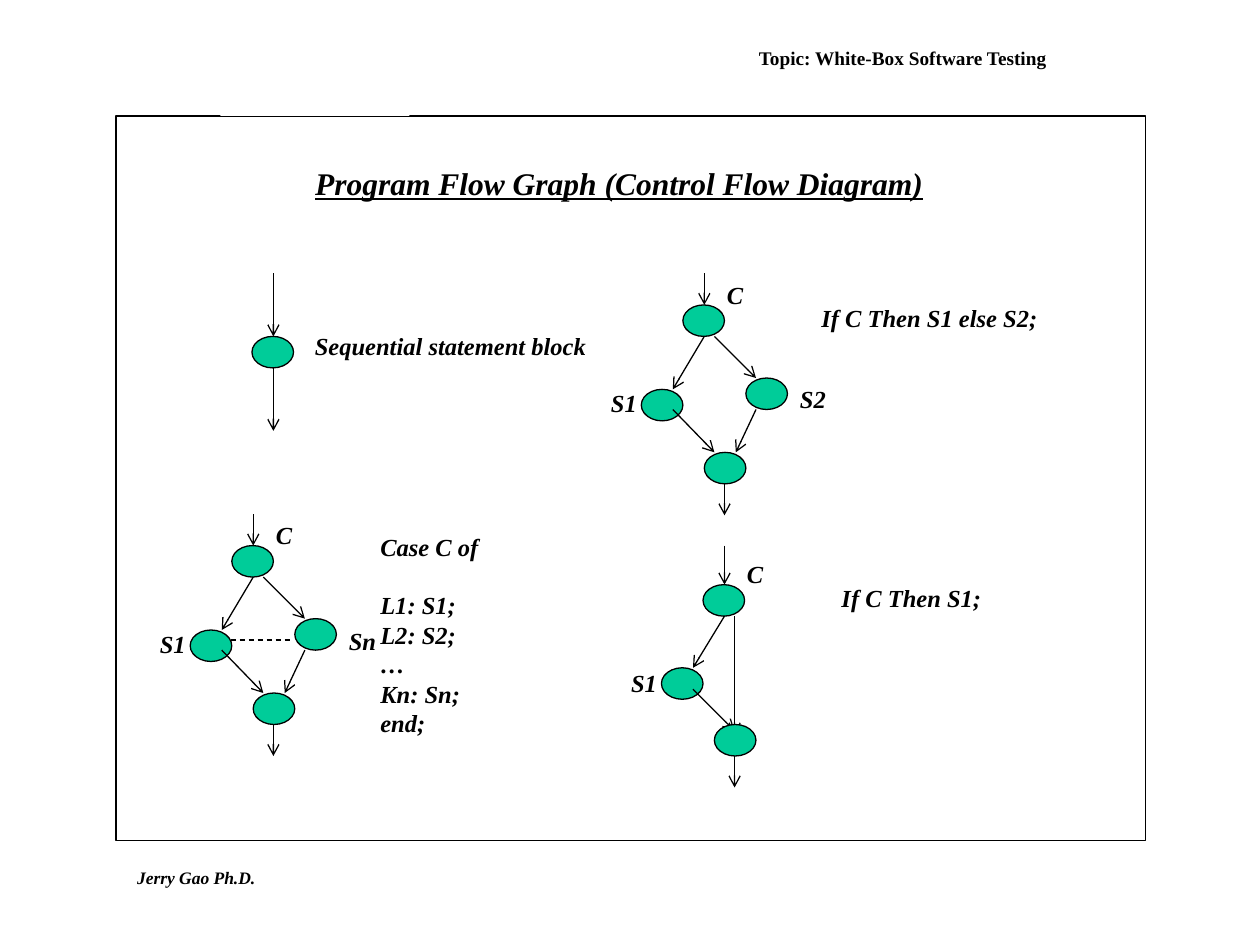
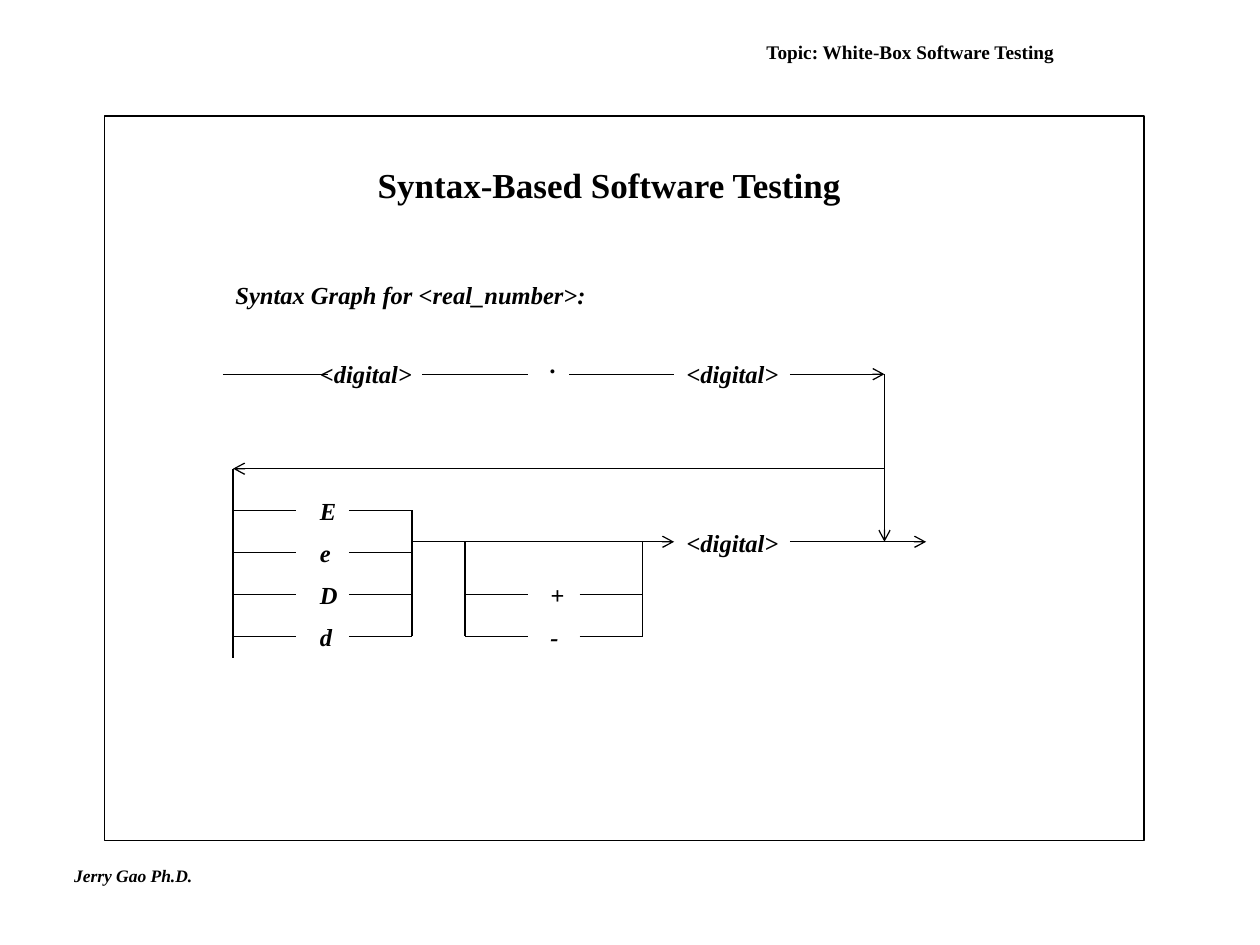
from lxml import etree
from pptx import Presentation
from pptx.dml.color import RGBColor
from pptx.enum.dml import MSO_LINE
from pptx.enum.shapes import MSO_CONNECTOR, MSO_SHAPE
from pptx.enum.text import MSO_ANCHOR, MSO_AUTO_SIZE, PP_ALIGN
from pptx.oxml.ns import qn
from pptx.util import Inches, Pt

STRAIGHT = MSO_CONNECTOR.STRAIGHT
OVAL, RECTANGLE = MSO_SHAPE.OVAL, MSO_SHAPE.RECTANGLE
CENTER, LEFT = PP_ALIGN.CENTER, PP_ALIGN.LEFT
TOP, MIDDLE = MSO_ANCHOR.TOP, MSO_ANCHOR.MIDDLE
FIT, FIXED = MSO_AUTO_SIZE.SHAPE_TO_FIT_TEXT, MSO_AUTO_SIZE.NONE
DASH = MSO_LINE.DASH

# Shared style
FONT = "Times New Roman"
BLACK, WHITE, GREEN = "000000", "FFFFFF", "00CC99"
LINE_WIDTH = 0.75
TEXT_SIZE = 14
TEXT_HEIGHT = 0.34
LABEL_SLACK = 0.08  # spare width that keeps a label on one line
LINE_PITCH = 16.8
NODE_WIDTH, NODE_HEIGHT = 0.33, 0.25
TOPIC = "Topic: White-Box Software Testing"
AUTHOR = "Jerry Gao Ph.D."

# Page furniture: places are left, top, width, height
FLOW_PAGE = dict(
    title="Program Flow Graph (Control Flow Diagram)",
    title_at=(1.58, 1.25, 6.67, 0.4),
    title_style=dict(size=18, italic=True, underline=True),
    topic_at=(5.33, 0.33, 3.67, 0.25),
    author_at=(0.99, 6.83, 1.2, 0.27),
    frame_at=(0.92, 0.92, 8.17, 5.75),
)
SYNTAX_PAGE = dict(
    title="Syntax-Based Software Testing",
    title_at=(2, 1.25, 5.67, 0.44),
    title_style=dict(size=20, italic=False),
    topic_at=(5.35, 0.33, 3.75, 0.17),
    author_at=(0.49, 6.82, 1.2, 0.27),
    frame_at=(0.83, 0.92, 8.25, 5.75),
)

# Flow graphs: nodes, arrows and labels are measured from the first node
BRANCH_NODES = [(0, 0), (-0.33, 0.67), (0.5, 0.58), (0.17, 1.17)]
BRANCH_ARROWS = [
    (0.17, -0.25, 0.17, 0),
    (0.17, 0.25, -0.08, 0.67),
    (0.25, 0.25, 0.58, 0.58),
    (-0.08, 0.83, 0.25, 1.17),
    (0.58, 0.83, 0.42, 1.17),
    (0.33, 1.42, 0.33, 1.67),
]
CONDITION_LABEL = ("C", 0.25, -0.25, 0.33)
FIRST_LABEL = ("S1", -0.67, 0.61, 0.4)
FLOW_GRAPHS = [
    dict(  # sequence
        at=(2, 2.67),
        nodes=[(0, 0)],
        arrows=[(0.17, -0.5, 0.17, 0), (0.17, 0.25, 0.17, 0.75)],
        labels=[("Sequential statement block", 0.4, -0.09, 2.35)],
    ),
    dict(  # if / else
        at=(5.42, 2.42),
        nodes=BRANCH_NODES,
        arrows=BRANCH_ARROWS,
        labels=[CONDITION_LABEL, FIRST_LABEL, ("S2", 0.83, 0.58, 0.4),
                ("If C Then S1 else S2;", 1, -0.06, 1.91)],
    ),
    dict(  # if without else
        at=(5.58, 4.64),
        nodes=[(0, 0), (-0.33, 0.66), (0.09, 1.11)],
        arrows=[
            (0.17, -0.31, 0.17, 0),
            (0.17, 0.25, -0.08, 0.66),
            (0.25, 0.25, 0.25, 1.19),
            (-0.08, 0.83, 0.25, 1.16),
            (0.25, 1.36, 0.25, 1.61),
        ],
        labels=[CONDITION_LABEL, FIRST_LABEL,
                ("If C Then S1;", 1, -0.06, 1.31)],
    ),
    dict(  # case
        at=(1.84, 4.33),
        nodes=BRANCH_NODES,
        arrows=BRANCH_ARROWS,
        labels=[CONDITION_LABEL, FIRST_LABEL, ("Sn", 0.83, 0.59, 0.41)],
    ),
]
CASE_HEAD = "Case C of"
CASE_BODY = ["L1: S1;", "L2: S2;", "…", "Kn: Sn;", "end;"]
CASE_AT = (2.92, 4.17, 1.33, 1.74)
CASE_GAP = (1.83, 5.08, 2.33, 5.08)
HEADER_PLATE = (1.75, 0.33, 1.5, 0.59)

# Syntax graph: horizontal levels and vertical rails
NUMBER_Y, RETURN_Y, EXPONENT_Y = 2.97, 3.72, 4.3
START_X, LEFT_X, RIGHT_X = 1.77, 1.85, 7.02
LETTERS_END_X, SIGN_START_X, SIGN_END_X = 3.27, 3.69, 5.1
ROW_TOP, ROW_STEP = 4.05, 1 / 3
STUB = 0.5
LETTERS = ["E", "e", "D", "d"]
SIGNS = ["+", "-"]
SYNTAX_TEXTS = [  # text, left, top, width
    ("Syntax Graph for <real_number>:", 1.77, 2.17, 2.98),
    ("<digital>", 2.44, 2.8, 0.93),
    ("<digital>", 5.35, 2.8, 0.93),
    (".", 4.27, 2.72, 0.25),
    ("<digital>", 5.35, 4.14, 0.93),
]
SYNTAX_LINES = [
    (START_X, NUMBER_Y, 2.6, NUMBER_Y),
    (3.35, NUMBER_Y, 4.19, NUMBER_Y),
    (4.52, NUMBER_Y, 5.35, NUMBER_Y),
    (RIGHT_X, NUMBER_Y, RIGHT_X, RETURN_Y),
    (LEFT_X, RETURN_Y, LEFT_X, 5.22),
    (LETTERS_END_X, ROW_TOP, LETTERS_END_X, 5.05),
    (SIGN_START_X, EXPONENT_Y, SIGN_START_X, 5.05),
    (SIGN_END_X, EXPONENT_Y, SIGN_END_X, 5.05),
]
SYNTAX_ARROWS = [
    (6.27, NUMBER_Y, RIGHT_X, NUMBER_Y),
    (RIGHT_X, RETURN_Y, LEFT_X, RETURN_Y),
    (RIGHT_X, RETURN_Y, RIGHT_X, EXPONENT_Y),
    (LETTERS_END_X, EXPONENT_Y, 5.35, EXPONENT_Y),
    (6.27, EXPONENT_Y, 7.35, EXPONENT_Y),
]


def color(hex_code):
    return RGBColor.from_string(hex_code)


def inches(values):
    return [Inches(value) for value in values]


def write(para, text, size=TEXT_SIZE, italic=True, underline=False, align=LEFT):
    para.alignment = align
    span = para.add_run()
    span.text = text
    font = span.font
    font.name, font.size, font.bold = FONT, Pt(size), True
    font.italic, font.underline = italic, underline
    font.color.rgb = color(BLACK)


def add_text(page, text, at, fit=FIT, anchor=TOP, **style):
    box = page.shapes.add_textbox(*inches(at))
    frame = box.text_frame
    frame.word_wrap, frame.auto_size = True, fit
    frame.vertical_anchor = anchor
    write(frame.paragraphs[0], text, **style)
    return frame


def add_label(page, text, left, top, width):
    add_text(page, text, (left, top, width + LABEL_SLACK, TEXT_HEIGHT))


def add_outline(page, kind, at, fill=None, line=BLACK):
    shape = page.shapes.add_shape(kind, *inches(at))
    shape.shadow.inherit = False
    if fill:
        shape.fill.solid()
        shape.fill.fore_color.rgb = color(fill)
    else:
        shape.fill.background()
    if line:
        shape.line.color.rgb = color(line)
        shape.line.width = Pt(LINE_WIDTH)
    else:
        shape.line.fill.background()


def add_line(page, ends, arrow=False, dash=None):
    line = page.shapes.add_connector(STRAIGHT, *inches(ends))
    line.line.color.rgb = color(BLACK)
    line.line.width = Pt(LINE_WIDTH)
    if dash:
        line.line.dash_style = dash
    properties = line._element.spPr
    if arrow:
        outline = properties.find(qn("a:ln"))
        etree.SubElement(outline, qn("a:tailEnd"), type="arrow")
    etree.SubElement(properties, qn("a:effectLst"))


def add_page(deck, title, title_at, title_style, topic_at, author_at, frame_at):
    page = deck.slides.add_slide(deck.slide_layouts[5])
    heading = page.shapes.title
    heading.left, heading.top, heading.width, heading.height = inches(title_at)
    frame = heading.text_frame
    frame.word_wrap, frame.auto_size = True, FIXED
    frame.vertical_anchor = TOP
    write(frame.paragraphs[0], title, align=CENTER, **title_style)
    add_text(page, TOPIC, topic_at, fit=FIXED, anchor=MIDDLE,
             size=11, italic=False, align=CENTER)
    add_text(page, AUTHOR, author_at, size=10)
    add_outline(page, RECTANGLE, frame_at)
    return page


def add_flow_graph(page, at, nodes, arrows, labels):
    x, y = at

    def add_node(dx, dy):
        add_outline(page, OVAL, (x + dx, y + dy, NODE_WIDTH, NODE_HEIGHT), GREEN)

    # The last node, where the paths meet, lies over the arrows
    for node in nodes[:-1]:
        add_node(*node)
    for x1, y1, x2, y2 in arrows:
        add_line(page, (x + x1, y + y1, x + x2, y + y2), arrow=True)
    add_node(*nodes[-1])
    for text, dx, dy, width in labels:
        add_label(page, text, x + dx, y + dy, width)


def add_choices(page, choices, first_row, start_x, label_x, end_x):
    for row, choice in enumerate(choices, first_row):
        y = ROW_TOP + row * ROW_STEP
        add_line(page, (start_x, y, start_x + STUB, y))
        add_label(page, choice, label_x, y - 0.16, 0.33)
        add_line(page, (end_x - STUB, y, end_x, y))


def build_flow_page(deck):
    page = add_page(deck, **FLOW_PAGE)
    for graph in FLOW_GRAPHS:
        add_flow_graph(page, **graph)
    # Case statement
    frame = add_text(page, CASE_HEAD, CASE_AT)
    for text in CASE_BODY:
        write(frame.add_paragraph(), text)
    frame.paragraphs[1].space_before = Pt(LINE_PITCH)
    add_line(page, CASE_GAP, dash=DASH)
    add_outline(page, RECTANGLE, HEADER_PLATE, WHITE, line=None)


def build_syntax_page(deck):
    page = add_page(deck, **SYNTAX_PAGE)
    for item in SYNTAX_TEXTS:
        add_label(page, *item)
    for ends in SYNTAX_LINES:
        add_line(page, ends)
    for ends in SYNTAX_ARROWS:
        add_line(page, ends, arrow=True)
    # Exponent letters and optional signs share one row grid
    add_choices(page, LETTERS, 0, LEFT_X, 2.44, LETTERS_END_X)
    add_choices(page, SIGNS, 2, SIGN_START_X, 4.27, SIGN_END_X)


def main():
    deck = Presentation()
    deck.slide_width, deck.slide_height = Inches(10), Inches(7.5)
    build_flow_page(deck)
    build_syntax_page(deck)
    deck.save("out.pptx")


if __name__ == "__main__":
    main()
